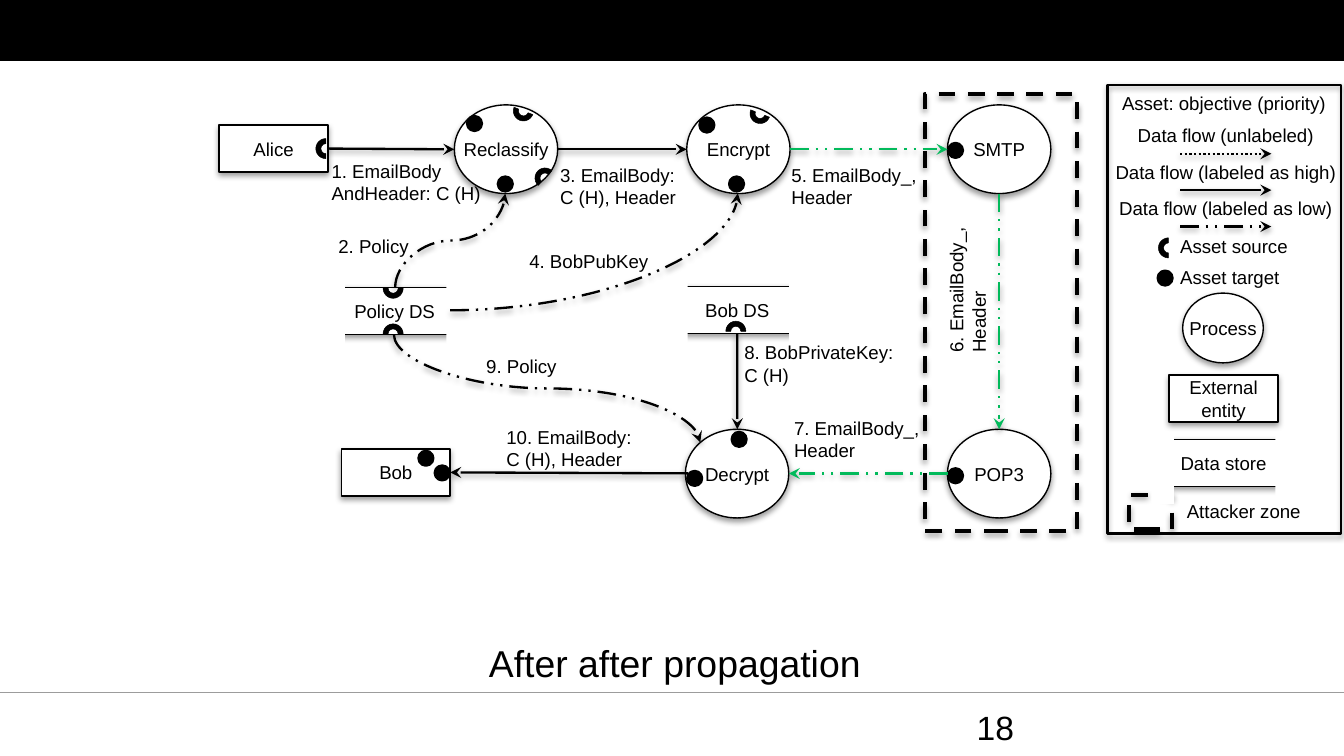
from lxml import etree
from pptx import Presentation
from pptx.dml.color import RGBColor
from pptx.enum.dml import MSO_LINE
from pptx.enum.shapes import MSO_CONNECTOR, MSO_SHAPE
from pptx.enum.text import MSO_ANCHOR, PP_ALIGN
from pptx.oxml.ns import qn
from pptx.util import Pt

BLACK = RGBColor(0, 0, 0)
WHITE = RGBColor(255, 255, 255)
GREEN = RGBColor(0x02, 0xBA, 0x5B)
GRAY = RGBColor(0x9C, 0x9C, 0x9C)
RECT, OVAL, ARC = MSO_SHAPE.RECTANGLE, MSO_SHAPE.OVAL, MSO_SHAPE.BLOCK_ARC
LINE, CURVE = MSO_CONNECTOR.STRAIGHT, MSO_CONNECTOR.CURVE
DASH, DOTS, LOW = MSO_LINE.DASH, MSO_LINE.ROUND_DOT, MSO_LINE.DASH_DOT_DOT
LEFT, CENTER, MIDDLE = PP_ALIGN.LEFT, PP_ALIGN.CENTER, MSO_ANCHOR.MIDDLE
FONT = "Arial"
NODE_W, NODE_H = 58.3, 25.2
PROC_W, PROC_H = 55.4, 47.5


def shade(props):
    effect = props.find(qn("a:effectLst"))
    if effect is None:
        effect = etree.SubElement(props, qn("a:effectLst"))
    outer = etree.SubElement(effect, qn("a:outerShdw"), blurRad="40000",
                             dist="20000", dir="5400000", rotWithShape="0")
    color = etree.SubElement(outer, qn("a:srgbClr"), val="000000")
    etree.SubElement(color, qn("a:alpha"), val="38000")


def style(frame, words, size, align):
    frame.text = words
    for para in frame.paragraphs:
        para.alignment = align
        for run in para.runs:
            run.font.size = Pt(size)
            run.font.name = FONT
            run.font.color.rgb = BLACK


def write(slide, words, x, y, w, h=20, align=LEFT, size=10, turn=0):
    label = slide.shapes.add_textbox(Pt(x), Pt(y), Pt(w), Pt(h))
    label.text_frame.word_wrap = True
    label.rotation = turn
    style(label.text_frame, words, size, align)


def draw(slide, kind, x, y, w, h, fill=None, width=0, dash=None, soft=False):
    shape = slide.shapes.add_shape(kind, Pt(x), Pt(y), Pt(w), Pt(h))
    shape.shadow.inherit = False
    if fill is None:
        shape.fill.background()
    else:
        shape.fill.solid()
        shape.fill.fore_color.rgb = fill
    if width:
        shape.line.color.rgb = BLACK
        shape.line.width = Pt(width)
        if dash:
            shape.line.dash_style = dash
    else:
        shape.line.fill.background()
    if soft:
        shade(shape._element.spPr)
    return shape


def node(slide, kind, words, x, y, w=NODE_W, h=NODE_H):
    shape = draw(slide, kind, x, y, w, h, WHITE, 0.75, soft=True)
    frame = shape.text_frame
    frame.word_wrap = kind == RECT
    frame.vertical_anchor = MIDDLE
    frame.margin_left = frame.margin_right = 0
    frame.margin_top = frame.margin_bottom = 0
    style(frame, words, 10, CENTER)
    return shape


def store(slide, words, x, y):
    shape = node(slide, RECT, words, x, y)
    for side in (-9.5, NODE_W - 1.3):
        draw(slide, RECT, x + side, y - 3, 12.2, 37.5, WHITE)
    return shape


def dot(slide, x, y):
    draw(slide, OVAL, x, y, 7.2, 7.2, BLACK, 2)


def arc(slide, x, y, turn):
    draw(slide, ARC, x, y, 10.8, 10.8, BLACK, 0.25).rotation = turn


def rule(slide, x, y, w, color):
    line = slide.shapes.add_connector(LINE, Pt(x), Pt(y), Pt(x + w), Pt(y))
    line.line.color.rgb = color
    line.line.width = Pt(0.5)
    etree.SubElement(line._element.spPr, qn("a:effectLst"))


def link(slide, x1, y1, x2, y2, dash=None, color=BLACK, kind=LINE):
    line = slide.shapes.add_connector(kind, Pt(x1), Pt(y1), Pt(x2), Pt(y2))
    line.line.color.rgb = color
    line.line.width = Pt(1.25)
    if dash:
        line.line.dash_style = dash
    props = line._element.spPr
    etree.SubElement(props.find(qn("a:ln")), qn("a:tailEnd"), type="stealth")
    shade(props)
    return line


def swerve(slide, x1, y1, x2, y2):
    mid_x, mid_y = (x1 + x2) / 2, (y1 + y2) / 2
    half_w, half_h = (y2 - y1) / 2, (x2 - x1) / 2
    line = link(slide, mid_x + half_w, mid_y - half_h,
                mid_x - half_w, mid_y + half_h, LOW, kind=CURVE)
    line._element.spPr.find(qn("a:xfrm")).set("rot", str(270 * 60000))


def bend(slide, x1, y1, x2, y2):
    line = link(slide, x1, y1, x2, y2, LOW, kind=CURVE)
    line._element.spPr.find(qn("a:prstGeom")).set("prst", "curvedConnector2")


def header(slide, x, y, w, h):
    draw(slide, RECT, x, y, w, h, BLACK)
    rule(slide, x, y + h, w, WHITE)


def footer(slide, x, y, w):
    rule(slide, x, y + 32, w, GRAY)
    write(slide, "After after propagation", x + 254.9, y, 451, 72, size=20)
    write(slide, "18", x + 516.2, y + 36, 167.8, 21.6, size=18)


def flow(slide, x, y):
    draw(slide, RECT, x + 378.4, y + 0.4, 81.4, 234, None, 2.25, DASH, True)
    for words, dx, dy in (("Reclassify", 126.4, 6.2), ("Encrypt", 250.9, 6.2),
                          ("SMTP", 390.6, 6.2), ("POP3", 390.6, 180),
                          ("Decrypt", 250.2, 180)):
        node(slide, OVAL, words, x + dx, y + dy, PROC_W, PROC_H)
    alice = node(slide, RECT, "Alice", x + 0.4, y + 17)
    bob = node(slide, RECT, "Bob", x + 65.9, y + 190.5)
    store(slide, "Policy DS", x + 65.2, y + 104)
    vault = store(slide, "Bob DS", x + 248.8, y + 103.4)

    for dx, dy in ((150.1, 45), (133.6, 12.6), (274, 45), (258.1, 13.4),
                   (391.3, 27), (391.3, 201.3), (275.4, 181.8),
                   (251.6, 202.7), (116.3, 199.8), (107.6, 191.9)):
        dot(slide, x + dx, y + dy)
    for dx, dy, turn in ((158, 4, 201.2), (169.6, 40, 313), (284.8, 5.4, 201.2),
                         (52.2, 24.2, 270), (88.2, 123.5, 0), (88.2, 99, 180),
                         (271.8, 122.1, 0)):
        arc(slide, x + dx, y + dy, turn)

    link(slide, x + 58.7, y + 29.6, x + 126.4, y + 30).begin_connect(alice, 3)
    link(slide, x + 181.8, y + 30, x + 250.9, y + 30)
    link(slide, x + 278, y + 128.6, x + 278, y + 180).begin_connect(vault, 2)
    link(slide, x + 251.6, y + 203.6, x + 124.2, y + 203.1).end_connect(bob, 3)
    for x1, y1, x2, y2 in ((306.3, 30, 390.6, 30), (418.3, 53.7, 418.3, 180),
                           (390.6, 203.7, 305.6, 203.7)):
        link(slide, x + x1, y + y1, x + x2, y + y2, LOW, GREEN)
    swerve(slide, x + 94.7, y + 104, x + 153.7, y + 53.7)
    swerve(slide, x + 94, y + 129.3, x + 258.1, y + 187)
    bend(slide, x + 124.2, y + 116.3, x + 278.3, y + 53.7)

    for words, dx, dy, w, h, turn in (
            ("1. EmailBody AndHeader: C (H)", 53.6, 32, 103.7, 31.7, 0),
            ("2. Policy", 57.2, 72.4, 82, 19.4, 0),
            ("3. EmailBody: C (H), Header", 176, 34.2, 82, 31.7, 0),
            ("4. BobPubKey", 159.5, 80.3, 82, 19.4, 0),
            ("5. EmailBody_, Header", 299.9, 34.2, 82, 31.7, 0),
            ("6. EmailBody_, Header", 360.4, 89, 82, 31.7, 270),
            ("7. EmailBody_, Header", 301.3, 169.6, 82, 31.7, 0),
            ("8. BobPrivateKey: C (H)", 274.7, 129.3, 100, 31.7, 0),
            ("9. Policy", 136.4, 136.5, 82, 19.4, 0),
            ("10. EmailBody: C (H), Header", 147.2, 174.6, 82, 31.7, 0)):
        write(slide, words, x + dx, y + dy, w, h, turn=turn)


def legend(slide, x, y, w, h):
    draw(slide, RECT, x, y, w, h, None, 1.25, soft=True)
    write(slide, "Asset: objective (priority)", x + 0.7, y, w + 0.7)
    for i, (words, dash) in enumerate((("unlabeled", DOTS),
                                       ("labeled as high", None),
                                       ("labeled as low", LOW))):
        top = y + 17.5 + 19.5 * i
        write(slide, f"Data flow ({words})", x - 12, top, 150.5, align=CENTER)
        link(slide, x + 38.9, top + 19.5, x + 87.8, top + 19.5, dash)
    arc(slide, x + 27.3, y + 82, 270)
    dot(slide, x + 27.3, y + 100)
    draw(slide, RECT, x + 11.5, y + 219.6, 23, 18.7, None, 2.25, DASH, True)
    for words, dx, dy, wide in (("Asset source", 31, 77, 73.4),
                                ("Asset target", 31, 93.6, 69),
                                ("Attacker zone", 34.5, 218.8, 77)):
        write(slide, words, x + dx, y + dy, wide, align=CENTER)
    node(slide, OVAL, "Process", x + 40.3, y + 111.6, 43.2, 37.4)
    node(slide, RECT, "External entity", x + 33, y + 155.5)
    store(slide, "Data store", x + 33, y + 190)


def main():
    deck = Presentation()
    deck.slide_width, deck.slide_height = Pt(720), Pt(405)
    slide = deck.slides.add_slide(deck.slide_layouts[6])
    header(slide, 0, 0, 720, 33)
    footer(slide, 0, 339.2, 720)
    flow(slide, 117, 50)
    legend(slide, 593.3, 45.4, 125.3, 240.5)
    deck.save("out.pptx")


if __name__ == "__main__":
    main()
